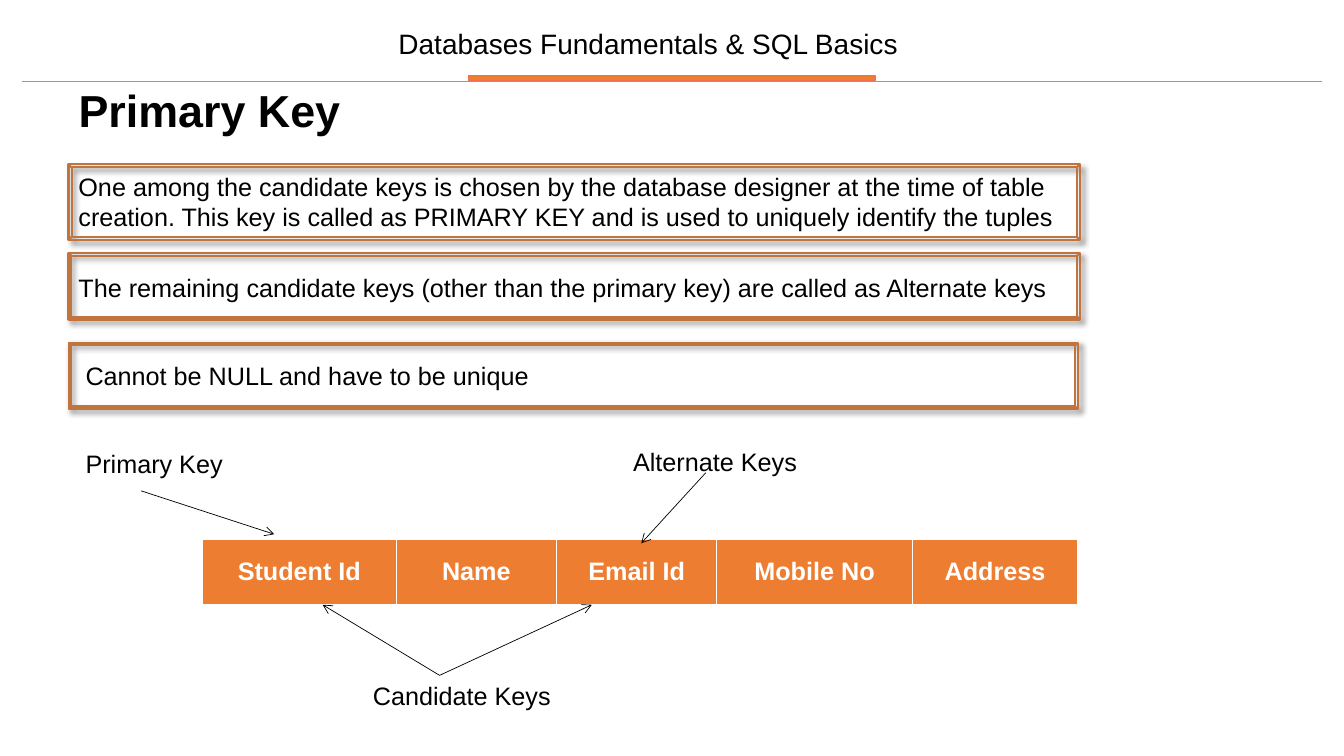
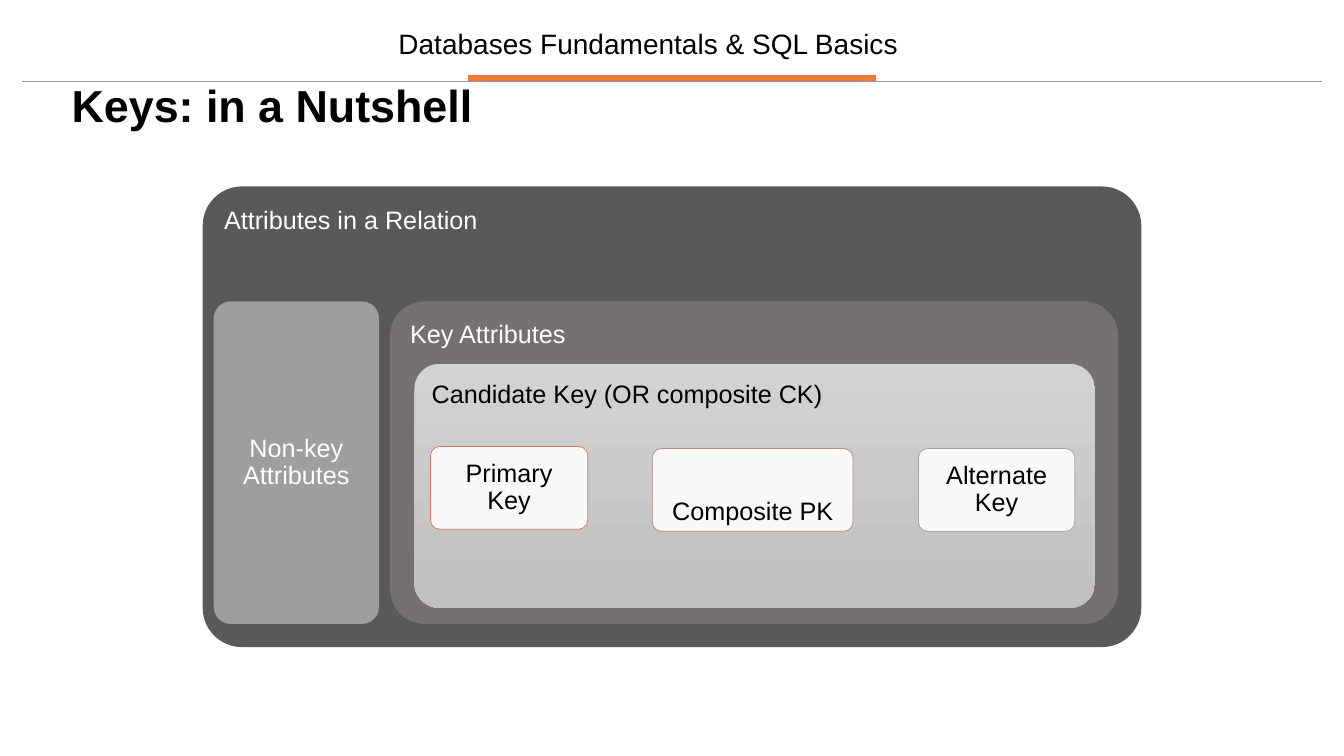
"""Build two slides on database keys."""
from dataclasses import dataclass

from lxml import etree
from pptx import Presentation, slide as sl
from pptx.dml.color import RGBColor
from pptx.enum import shapes, text
from pptx.oxml import ns
from pptx.util import Inches, Pt

BLACK = RGBColor(0x00, 0x00, 0x00)
WHITE = RGBColor(0xFF, 0xFF, 0xFF)
ORANGE = RGBColor(0xED, 0x7D, 0x31)
CORAL = RGBColor(0xF4, 0x6F, 0x4F)
RULE_GREY = RGBColor(0x99, 0x99, 0x99)
BEVEL_BROWN = RGBColor(0xC2, 0x74, 0x3F)
DARK_GREY = RGBColor(0x59, 0x59, 0x59)
WARM_GREY = RGBColor(0x76, 0x71, 0x71)
MID_GREY = RGBColor(0xA6, 0xA6, 0xA6)
GRADIENT = (RGBColor(0xD2, 0xD2, 0xD2), RGBColor(0xC0, 0xC0, 0xC0))
FONT = "Arial"
LEFT, CENTER = text.PP_ALIGN.LEFT, text.PP_ALIGN.CENTER
TOP, MIDDLE, BOTTOM = text.MSO_ANCHOR.TOP, text.MSO_ANCHOR.MIDDLE, text.MSO_ANCHOR.BOTTOM


@dataclass
class Box:
    """A rectangle in inches."""
    x: float
    y: float
    w: float
    h: float

    def emu(self) -> tuple:
        """Return the rectangle as lengths."""
        return tuple(Inches(v) for v in (self.x, self.y, self.w, self.h))


@dataclass
class Statement:
    """A sentence inside a bevelled frame."""
    words: str
    frame: Box
    label: Box


@dataclass
class Arrow:
    """A line, given by its two ends in inches."""
    start: tuple
    end: tuple


@dataclass
class Region:
    """A rounded set of attributes with its caption."""
    words: str
    box: Box
    radius: float
    fill: RGBColor | tuple
    color: RGBColor = BLACK
    align: text.PP_ALIGN = CENTER
    anchor: text.MSO_ANCHOR = MIDDLE
    alpha: int = 100
    line: RGBColor | None = None
    bottom: float = 0.1


STATEMENTS = [
    Statement("One among the candidate keys is chosen by the database designer at the time of "
              "table creation. This key is called as PRIMARY KEY and is used to uniquely "
              "identify the tuples", Box(0.68, 1.63, 10.03, 0.75), Box(0.68, 1.65, 10.67, 0.71)),
    Statement("The remaining candidate keys (other than the primary key) are called as "
              "Alternate keys", Box(0.68, 2.51, 10.03, 0.66), Box(0.68, 2.65, 10.18, 0.4)),
    Statement("Cannot be NULL and have to be unique",
              Box(0.68, 3.4, 10.01, 0.66), Box(0.75, 3.53, 6.67, 0.4)),
]
LABELS = [
    ("Primary Key", Box(0.75, 4.4, 1.97, 0.41)),
    ("Candidate Keys", Box(3.6, 6.7, 3.4, 0.43)),
    ("Alternate Keys", Box(6.18, 4.38, 2.55, 0.41)),
]
ARROWS = [
    Arrow((1.4, 4.87), (2.72, 5.3)),
    Arrow((4.36, 6.7), (3.2, 6)),
    Arrow((4.36, 6.7), (5.87, 6)),
    Arrow((7, 4.69), (6.36, 5.39)),
]
COLUMNS = [("Student Id", 1.92), ("Name", 1.59), ("Email Id", 1.59),
           ("Mobile No", 1.94), ("Address", 1.64)]
REGIONS = [
    Region("Attributes in a Relation", Box(2.01, 1.85, 9.31, 4.57), 0.39, DARK_GREY,
           WHITE, LEFT, TOP),
    Region("Non-key Attributes", Box(2.12, 2.99, 1.64, 3.2), 0.17, MID_GREY, WHITE, alpha=90),
    Region("Key Attributes", Box(3.87, 2.99, 7.22, 3.2), 0.34, WARM_GREY, WHITE, LEFT, TOP),
    Region("Candidate Key (OR composite CK)", Box(4.11, 3.61, 6.75, 2.42), 0.25, GRADIENT,
           align=LEFT, anchor=TOP),
    Region("Primary Key", Box(4.27, 4.43, 1.56, 0.82), 0.09, WHITE, alpha=90,
           line=RGBColor(0xD1, 0x7B, 0x5C)),
    Region("Composite PK", Box(6.47, 4.45, 1.99, 0.82), 0.09, WHITE, alpha=90,
           anchor=BOTTOM, line=RGBColor(0xB9, 0x8A, 0x82), bottom=0.03),
    Region("Alternate Key", Box(9.11, 4.45, 1.55, 0.82), 0.09, WHITE, alpha=90,
           line=RGBColor(0xA5, 0xA5, 0xA5)),
]


def write(tf, words: str, *, size: int = 18, color: RGBColor = BLACK, bold: bool = False,
          align: text.PP_ALIGN = LEFT, anchor: text.MSO_ANCHOR = TOP,
          spacing: float = 1.0) -> None:
    """Put one formatted paragraph in a text frame."""
    tf.word_wrap = True
    tf.vertical_anchor = anchor
    p = tf.paragraphs[0]
    p.alignment = align
    p.line_spacing = spacing
    r = p.add_run()
    r.text = words
    r.font.name, r.font.size, r.font.bold = FONT, Pt(size), bold
    r.font.color.rgb = color


def add_label(s: sl.Slide, words: str, box: Box, **style):
    """Add a text box."""
    sp = s.shapes.add_textbox(*box.emu())
    write(sp.text_frame, words, **style)
    return sp


def add_line(s: sl.Slide, line: Arrow, color: RGBColor, width: float, arrow: bool = False):
    """Add a straight line, with an arrowhead at its end if wanted."""
    sp = s.shapes.add_connector(shapes.MSO_CONNECTOR.STRAIGHT,
                                *(Inches(v) for v in (*line.start, *line.end)))
    sp.line.color.rgb = color
    sp.line.width = Pt(width)
    if arrow:
        etree.SubElement(sp.line._get_or_add_ln(), ns.qn("a:tailEnd"), type="arrow")
    etree.SubElement(sp._element.spPr, ns.qn("a:effectLst"))
    return sp


def add_title(s: sl.Slide, words: str, x: float, y: float) -> None:
    """Fill and place the title placeholder."""
    sp = s.shapes.title
    sp.left, sp.top, sp.width, sp.height = Box(x, y, 12.31, 0.78).emu()
    sp.text_frame.auto_size = text.MSO_AUTO_SIZE.NONE
    write(sp.text_frame, words, size=32, bold=True, spacing=0.9)


def add_header(s: sl.Slide, layout: sl.SlideLayout) -> None:
    """Draw the course header and hand it to the layout."""
    rule = add_line(s, Arrow((0.22, 0.81), (13.11, 0.81)), RULE_GREY, 0.75)
    bar = s.shapes.add_shape(shapes.MSO_SHAPE.RECTANGLE, *Box(4.65, 0.75, 4.03, 0.05).emu())
    bar.shadow.inherit = False
    bar.fill.solid()
    bar.fill.fore_color.rgb = ORANGE
    bar.line.color.rgb = CORAL
    bar.line.width = Pt(1)
    course = add_label(s, "Databases Fundamentals & SQL Basics", Box(3.75, 0.26, 5.36, 0.38),
                       size=20, align=CENTER, anchor=MIDDLE, spacing=0.9)
    for sp in (rule, bar, course):
        layout.shapes._spTree.append(sp._element)


def add_statement(s: sl.Slide, item: Statement) -> None:
    """Add a shadowed bevel frame and its sentence."""
    sp = s.shapes.add_shape(shapes.MSO_SHAPE.BEVEL, *item.frame.emu())
    sp.adjustments[0] = 0.041
    sp.fill.background()
    sp.line.color.rgb = BEVEL_BROWN
    sp.line.width = Pt(1.5)
    sp.shadow.inherit = False
    effects = sp._element.spPr.find(ns.qn("a:effectLst"))
    shadow = etree.SubElement(effects, ns.qn("a:outerShdw"), blurRad=str(Pt(4)),
                              dist=str(Pt(3)), dir="2700000", algn="tl", rotWithShape="0")
    tone = etree.SubElement(shadow, ns.qn("a:srgbClr"), val=str(BLACK))
    etree.SubElement(tone, ns.qn("a:alpha"), val="40000")
    add_label(s, item.words, item.label)


def add_student_table(s: sl.Slide) -> None:
    """Add the one-row table of student attributes."""
    box = Box(2.01, 5.35, sum(w for _, w in COLUMNS), 0.65)
    table = s.shapes.add_table(1, len(COLUMNS), *box.emu()).table
    for i, (name, width) in enumerate(COLUMNS):
        table.columns[i].width = Inches(width)
        cell = table.cell(0, i)
        cell.fill.solid()
        cell.fill.fore_color.rgb = ORANGE
        cell.margin_left = cell.margin_right = Inches(0.14)
        cell.vertical_anchor = MIDDLE
        write(cell.text_frame, name, color=WHITE, bold=True, align=CENTER, anchor=MIDDLE)


def add_region(s: sl.Slide, item: Region) -> None:
    """Add a rounded region with its caption."""
    sp = s.shapes.add_shape(shapes.MSO_SHAPE.ROUNDED_RECTANGLE, *item.box.emu())
    sp.adjustments[0] = item.radius / min(item.box.w, item.box.h)
    sp.shadow.inherit = False
    if isinstance(item.fill, RGBColor):
        sp.fill.solid()
        sp.fill.fore_color.rgb = item.fill
        if item.alpha < 100:
            tone = sp._element.spPr.find(ns.qn("a:solidFill"))[0]
            etree.SubElement(tone, ns.qn("a:alpha"), val=str(item.alpha * 1000))
    else:
        sp.fill.gradient()
        sp.fill.gradient_angle = 270
        for stop, color in zip(sp.fill.gradient_stops, item.fill):
            stop.color.rgb = color
    if item.line is None:
        sp.line.fill.background()
    else:
        sp.line.color.rgb = item.line
        sp.line.width = Pt(0.5)
    tf = sp.text_frame
    tf.margin_left = tf.margin_right = tf.margin_top = Inches(0.1)
    tf.margin_bottom = Inches(item.bottom)
    write(tf, item.words, color=item.color, align=item.align, anchor=item.anchor, spacing=0.9)


def main() -> None:
    """Build and save the presentation."""
    prs = Presentation()
    prs.slide_width, prs.slide_height = Inches(13.33), Inches(7.5)
    layout = prs.slide_layouts[5]

    s = prs.slides.add_slide(layout)
    add_header(s, layout)
    add_title(s, "Primary Key", 0.68, 0.83)
    for item in STATEMENTS:
        add_statement(s, item)
    add_student_table(s)
    for arrow in ARROWS:
        add_line(s, arrow, BLACK, 0.5, arrow=True)
    for words, box in LABELS:
        add_label(s, words, box)

    s = prs.slides.add_slide(layout)
    add_title(s, "Keys: in a Nutshell", 0.61, 0.78)
    for item in REGIONS:
        add_region(s, item)

    prs.save("out.pptx")


if __name__ == "__main__":
    main()
